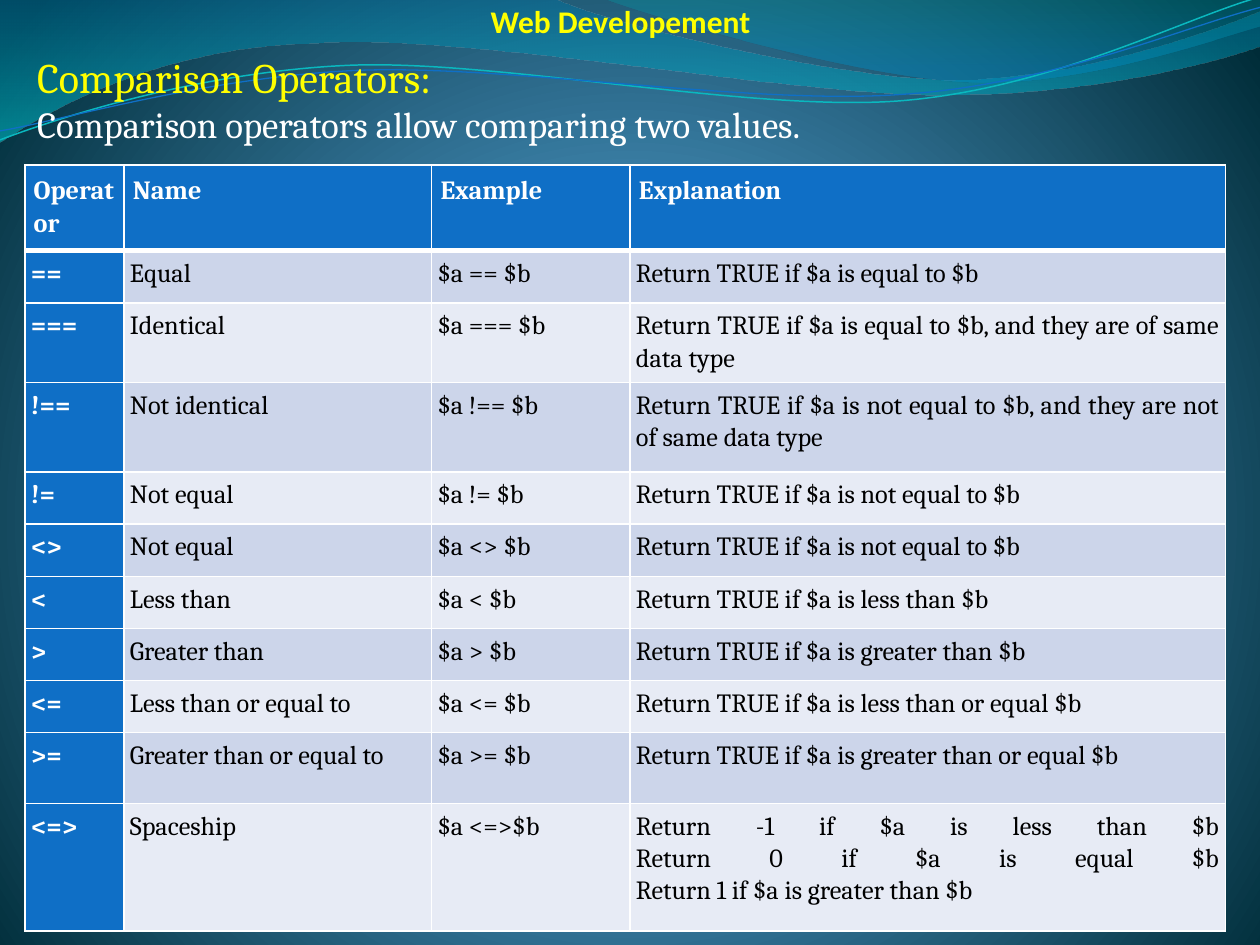
from dataclasses import dataclass

from lxml import etree
from pptx import Presentation
from pptx.dml.color import RGBColor
from pptx.enum.text import PP_ALIGN
from pptx.oxml.ns import qn
from pptx.util import Cm, Pt

CENTER, JUSTIFY, LEFT = PP_ALIGN.CENTER, PP_ALIGN.JUSTIFY, PP_ALIGN.LEFT
COLORS = {
    "yellow": "FFFF00", "white": "FFFFFF", "black": "000000", "blue": "0F6FC6",
    "band_dark": "CCD5EA", "band_light": "E7EBF5", "cyan": "0AB8BF",
    "sky": "4AA0D6", "steel": "4C98C7", "deep": "002C38",
    "ocean": "0074A1", "aqua": "00C6CF", "teal": "00A1A9", "azure": "008BBF",
}


@dataclass
class Stop:
    """A gradient stop: position and opacity in percent."""
    position: int
    color: str
    opacity: int = 100


@dataclass
class Wave:
    """An outline in centimetres; a segment has one point (line) or three (curve)."""
    start: tuple
    segments: list
    stops: tuple = ()
    line_color: str = ""
    line_width: float = 0
    rotation: float = 0


@dataclass
class Line:
    """One styled line of heading text."""
    text: str
    size: float
    font: str
    color: str
    bold: bool = False
    align: PP_ALIGN = LEFT


SKY_STOPS = (Stop(0, "sky"), Stop(25, "steel"), Stop(100, "deep"))
WAVES = [
    Wave((0, 0), [
        [(11.18, -0.03)],
        [(12.09, 0.43), (16.87, 1.6), (19.25, 1.6)],
        [(21.67, 1.6), (24.33, 0.66), (25.4, 0.23)],
        [(25.43, 0.91)],
        [(24.97, 1.12), (22.1, 1.93), (18.95, 1.91)],
        [(15.8, 1.91), (9.7, 0.71), (6.53, 0.86)],
        [(3.28, 0.91), (1.17, 2.11), (-0.03, 2.87)],
        [(0, 0)],
    ], stops=(Stop(0, "ocean", 45), Stop(100, "aqua", 55))),
    Wave((12.17, -0.03), [
        [(12.93, 0.28), (17.32, 1.57), (19.53, 1.65)],
        [(21.74, 1.75), (24.41, 0.81), (25.4, 0.53)],
        [(25.4, 0)],
        [(12.17, -0.03)],
    ], stops=(Stop(0, "teal", 30), Stop(80, "azure", 45))),
    Wave((-0.05, 2.22), [
        [(1.19, 1.82), (4.02, 1.04), (7.05, 1.05)],
        [(10.05, 1.07), (15.02, 2.37), (18.08, 2.29)],
        [(21.13, 2.2), (23.87, 0.91), (25.41, 0.55)],
    ], line_color="cyan", line_width=0.85, rotation=357.3),
    Wave((-0.04, 2.04), [
        [(1.16, 1.9), (4.18, 1.15), (7.2, 1.16)],
        [(10.25, 1.18), (15.13, 2.25), (18.19, 2.16)],
        [(21.21, 2.1), (23.93, 1.06), (25.45, 0.75)],
    ], line_color="blue", line_width=0.75, rotation=357.3),
]
COURSE = [Line("Web Developement", 18, "Calibri", "yellow", True, CENTER)]
HEADING = [
    Line("Comparison Operators:", 24, "Cambria", "yellow"),
    Line("Comparison operators allow comparing two values.", 21, "Cambria", "white"),
]
COLUMN_WIDTHS = (2, 6.2, 4, 12)
ROW_HEIGHTS = (0.86, 1.06, 1.42, 1.81, 1.05, 1.05, 1.05, 1.05, 1.05, 1.43, 2.57)
OPERATORS = [
    ("Operator", "Name", "Example", "Explanation"),
    ("==", "Equal", "$a == $b", "Return TRUE if $a is equal to $b"),
    ("===", "Identical", "$a === $b",
     "Return TRUE if $a is equal to $b, and they are of same data type"),
    ("!==", "Not identical", "$a !== $b",
     "Return TRUE if $a is not equal to $b, and they are not of same data type"),
    ("!=", "Not equal", "$a != $b", "Return TRUE if $a is not equal to $b"),
    ("<>", "Not equal", "$a <> $b", "Return TRUE if $a is not equal to $b"),
    ("<", "Less than", "$a < $b", "Return TRUE if $a is less than $b"),
    (">", "Greater than", "$a > $b", "Return TRUE if $a is greater than $b"),
    ("<=", "Less than or equal to", "$a <= $b",
     "Return TRUE if $a is less than or equal $b"),
    (">=", "Greater than or equal to", "$a >= $b",
     "Return TRUE if $a is greater than or equal $b"),
    ("<=>", "Spaceship", "$a <=>$b",
     "Return -1 if $a is less than $b\vReturn 0 if $a is equal $b\v"
     "Return 1 if $a is greater than $b"),
]


def rgb(name: str) -> RGBColor:
    """Look up a named colour."""
    return RGBColor.from_string(COLORS[name])


def set_gradient(properties, stops: tuple, circular: bool = False) -> None:
    """Replace a solid fill with a vertical or circular gradient."""
    gradient = etree.Element(qn("a:gradFill"), rotWithShape="1")
    stop_list = etree.SubElement(gradient, qn("a:gsLst"))
    for stop in stops:
        entry = etree.SubElement(stop_list, qn("a:gs"), pos=str(stop.position * 1000))
        color = etree.SubElement(entry, qn("a:srgbClr"), val=COLORS[stop.color])
        if stop.opacity < 100:
            etree.SubElement(color, qn("a:alpha"), val=str(stop.opacity * 1000))
    if circular:
        focus = etree.SubElement(gradient, qn("a:path"), path="circle")
        etree.SubElement(focus, qn("a:fillToRect"),
                         l="10000", t="110000", r="10000", b="100000")
    else:
        etree.SubElement(gradient, qn("a:lin"), ang="5400000", scaled="1")
    properties.replace(properties.find(qn("a:solidFill")), gradient)


def bend_segments(shape, segments: list) -> None:
    """Turn the straight steps that have control points into cubic curves."""
    left, top = shape.left, shape.top
    steps = list(shape.element.iter(qn("a:lnTo")))
    for step, segment in zip(steps, segments):
        if len(segment) == 3:
            curve = etree.Element(qn("a:cubicBezTo"))
            for x, y in segment:
                etree.SubElement(curve, qn("a:pt"),
                                 x=str(Cm(x) - left), y=str(Cm(y) - top))
            step.getparent().replace(step, curve)


def draw_wave(slide, wave: Wave) -> None:
    """Draw a filled wave or a thin curved line."""
    builder = slide.shapes.build_freeform(*map(Cm, wave.start))
    ends = [segment[-1] for segment in wave.segments]
    builder.add_line_segments([(Cm(x), Cm(y)) for x, y in ends], close=False)
    shape = builder.convert_to_shape()
    bend_segments(shape, wave.segments)
    shape.rotation = wave.rotation
    shape.shadow.inherit = False
    if wave.stops:
        shape.fill.solid()
        set_gradient(shape.element.spPr, wave.stops)
        shape.line.fill.background()
    else:
        shape.fill.background()
        shape.line.color.rgb = rgb(wave.line_color)
        shape.line.width = Pt(wave.line_width)


def style_runs(paragraph, size: float, font: str, color: str, bold: bool) -> None:
    """Format every run of a paragraph."""
    for run in paragraph.runs:
        run.font.size, run.font.name, run.font.bold = Pt(size), font, bold
        run.font.color.rgb = rgb(color)


def draw_text(slide, box: tuple, lines: list) -> None:
    """Add a text box with one paragraph per line."""
    frame = slide.shapes.add_textbox(*map(Cm, box)).text_frame
    frame.word_wrap = True
    frame.text = "\n".join(line.text for line in lines)
    for paragraph, line in zip(frame.paragraphs, lines):
        paragraph.alignment = line.align
        style_runs(paragraph, line.size, line.font, line.color, line.bold)


def set_borders(cell, top: float, bottom: float) -> None:
    """Give a cell white borders, with widths in points."""
    properties = cell._tc.get_or_add_tcPr()
    for index, (side, width) in enumerate(
            (("L", 1), ("R", 1), ("T", top), ("B", bottom))):
        border = etree.Element(qn(f"a:ln{side}"), w=str(Pt(width)))
        fill = etree.SubElement(border, qn("a:solidFill"))
        etree.SubElement(fill, qn("a:srgbClr"), val=COLORS["white"])
        properties.insert(index, border)


def draw_operator_table(slide) -> None:
    """Add the table of comparison operators."""
    table = slide.shapes.add_table(
        len(OPERATORS), len(COLUMN_WIDTHS), Cm(0.5), Cm(3.33),
        Cm(sum(COLUMN_WIDTHS)), Cm(sum(ROW_HEIGHTS))).table
    for column, width in zip(table.columns, COLUMN_WIDTHS):
        column.width = Cm(width)
    for r, (row, height, texts) in enumerate(zip(table.rows, ROW_HEIGHTS, OPERATORS)):
        row.height = Cm(height)
        for c, (cell, text) in enumerate(zip(row.cells, texts)):
            header, accent = r == 0, r == 0 or c == 0
            cell.margin_left = cell.margin_right = Cm(0.18 if header else 0.12)
            cell.margin_top = cell.margin_bottom = Cm(0.18 if header else 0.12)
            cell.fill.solid()
            band = "band_dark" if r % 2 else "band_light"
            cell.fill.fore_color.rgb = rgb("blue" if accent else band)
            set_borders(cell, 3 if r == 1 else 1, 3 if header else 1)
            paragraph = cell.text_frame.paragraphs[0]
            paragraph.text = text
            paragraph.alignment = LEFT if header else JUSTIFY
            paragraph.line_spacing = 1.07
            style_runs(paragraph, 15, "Cambria", "white" if accent else "black", accent)


def main() -> None:
    """Build and save the slide."""
    deck = Presentation()
    deck.slide_width, deck.slide_height = Cm(25.4), Cm(19.05)
    slide = deck.slides.add_slide(deck.slide_layouts[6])
    slide.background.fill.solid()
    set_gradient(slide.element.find(".//" + qn("p:bgPr")), SKY_STOPS, circular=True)
    for wave in WAVES:
        draw_wave(slide, wave)
    draw_text(slide, (4.57, -0.08, 15.88, 1.02), COURSE)
    draw_text(slide, (0.5, 0.92, 24.41, 2.18), HEADING)
    draw_operator_table(slide)
    deck.save("out.pptx")


if __name__ == "__main__":
    main()
